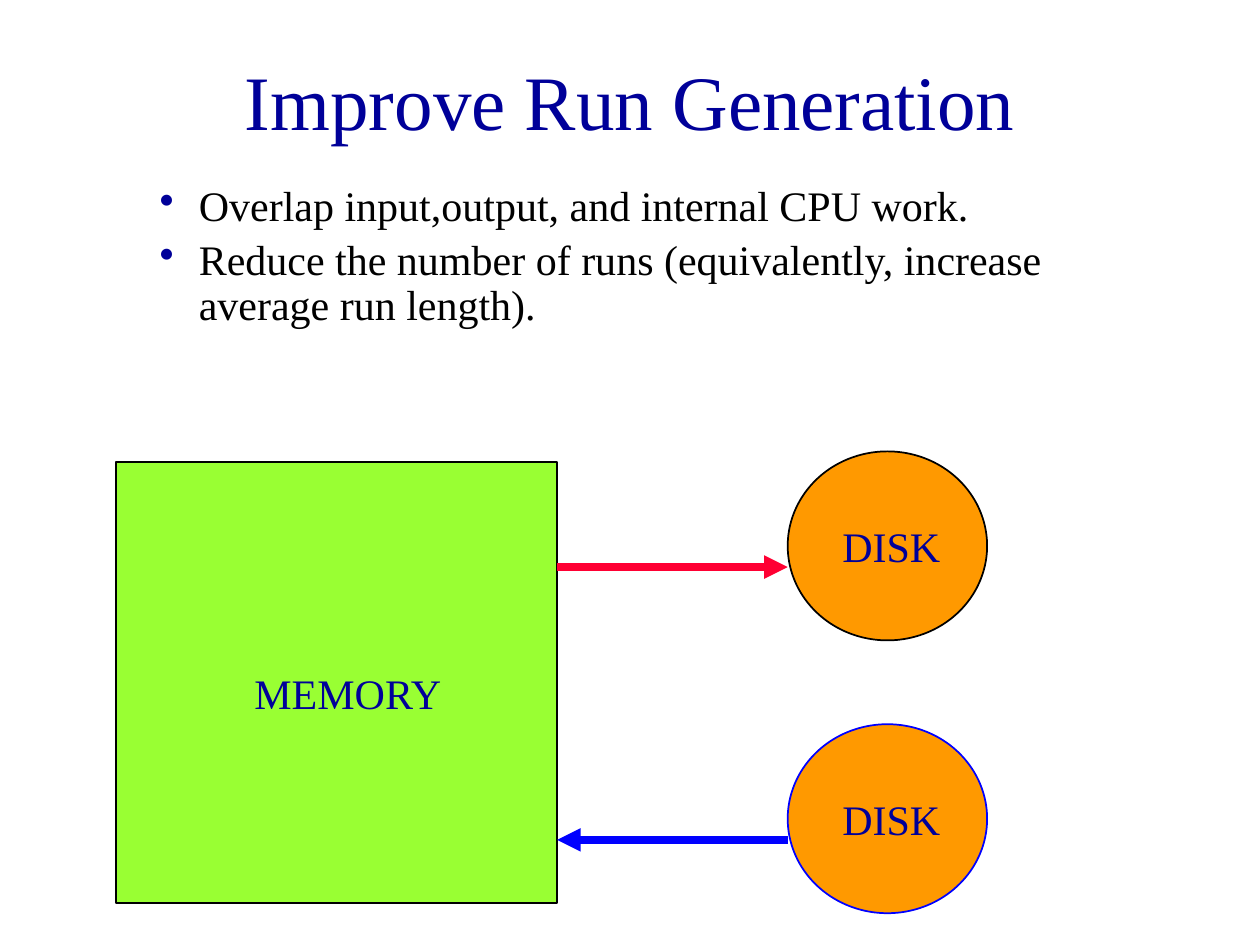
from lxml import etree
from pptx import Presentation
from pptx.dml.color import RGBColor
from pptx.enum import shapes, text
from pptx.oxml.ns import qn
from pptx.util import Cm, Pt

NAVY, BLACK, BLUE, RED = "000099", "000000", "0000FF", "FF0033"
GREEN, ORANGE = "99FF33", "FF9900"


def paint(color, value):
    color.rgb = RGBColor.from_string(value)


def write(slide, box, lines, size=24, color=NAVY, frame=None, para=None):
    """Add a text box; frame and para hold format values to set."""
    tf = slide.shapes.add_textbox(*map(Cm, box)).text_frame
    tf.word_wrap = True
    for key, value in (frame or {}).items():
        setattr(tf, key, value)
    for i, line in enumerate(lines):
        p = tf.paragraphs[0] if i == 0 else tf.add_paragraph()
        run = p.add_run()
        run.text = line
        run.font.name, run.font.size = "Times New Roman", Pt(size)
        paint(run.font.color, color)
        for key, value in (para or {}).items():
            setattr(p, key, value)
    return tf


def add_title(slide, box):
    write(slide, box, ["Improve Run Generation"], 44,
          frame={"vertical_anchor": text.MSO_ANCHOR.MIDDLE},
          para={"alignment": text.PP_ALIGN.CENTER})


def add_points(slide, box, lines):
    tf = write(slide, box, lines, color=BLACK, para={"line_spacing": 0.9})
    for i, p in enumerate(tf.paragraphs):
        if i:
            p.space_before = Pt(4.8)
        pr = p._p.get_or_add_pPr()
        pr.set("marL", str(Cm(2.06)))
        pr.set("indent", str(Cm(-0.79)))
        color = etree.SubElement(pr, qn("a:buClr"))
        etree.SubElement(color, qn("a:srgbClr"), val=NAVY)
        etree.SubElement(pr, qn("a:buChar"), char="•")


def add_node(slide, kind, box, fill, line, label, inner):
    """Add a filled shape with a label box placed relative to it."""
    node = slide.shapes.add_shape(kind, *map(Cm, box))
    node.shadow.inherit = False
    node.fill.solid()
    paint(node.fill.fore_color, fill)
    paint(node.line.color, line)
    node.line.width = Pt(1)
    x, y, w, h = inner
    write(slide, (box[0] + x, box[1] + y, w, h), [label])


def add_arrow(slide, start, end, y, color):
    line = slide.shapes.add_connector(
        shapes.MSO_CONNECTOR.STRAIGHT, Cm(start), Cm(y), Cm(end), Cm(y))
    paint(line.line.color, color)
    line.line.width = Pt(4.5)
    etree.SubElement(line.line._get_or_add_ln(), qn("a:tailEnd"), type="triangle")
    etree.SubElement(line._element.spPr, qn("a:effectLst"))


def add_diagram(slide, left, top):
    """Draw memory with an output disk above and an input disk below."""
    kinds = shapes.MSO_SHAPE
    side, gap = 8.89, 4.65
    near, far = left + side, left + side + gap
    add_node(slide, kinds.RECTANGLE, (left, top + 0.21, side, side),
             GREEN, BLACK, "MEMORY", (2.54, 4.02, 4.45, 1.27))
    flows = [(BLACK, RED, near, far), (BLUE, BLUE, far, near)]
    for i, (edge, color, start, end) in enumerate(flows):
        y = top + i * 5.5
        add_node(slide, kinds.OVAL, (far, y, 4.02, 3.81),
                 ORANGE, edge, "DISK", (0.85, 1.27, 3.39, 1.27))
        add_arrow(slide, start, end, y + 2.33, color)


def main():
    deck = Presentation()
    deck.slide_width, deck.slide_height = Cm(25.4), Cm(19.05)
    slide = deck.slides.add_slide(deck.slide_layouts[6])
    add_title(slide, (1.91, 0.43, 21.59, 3.18))
    add_points(slide, (1.7, 3.61, 22.22, 2.97), [
        "Overlap input,output, and internal CPU work.",
        "Reduce the number of runs (equivalently, increase average run length).",
    ])
    add_diagram(slide, 2.34, 9.1)
    deck.save("out.pptx")


if __name__ == "__main__":
    main()
